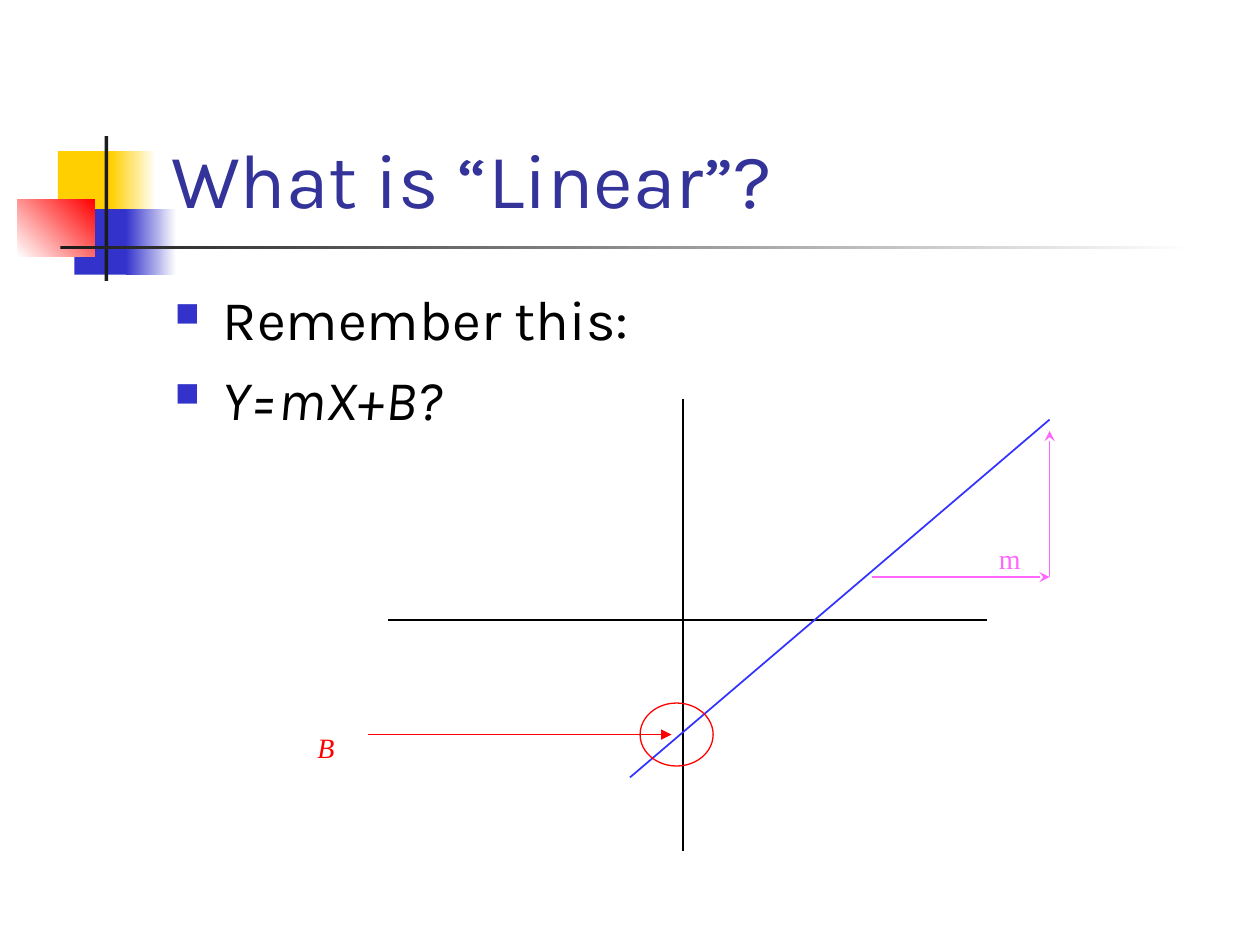
from lxml import etree
from pptx import Presentation
from pptx.dml.color import RGBColor
from pptx.enum.shapes import MSO_CONNECTOR, MSO_SHAPE
from pptx.enum.text import MSO_ANCHOR
from pptx.oxml.ns import qn
from pptx.util import Inches, Pt

RECT, OVAL = MSO_SHAPE.RECTANGLE, MSO_SHAPE.OVAL
STRAIGHT = MSO_CONNECTOR.STRAIGHT
TOP, BOTTOM = MSO_ANCHOR.TOP, MSO_ANCHOR.BOTTOM
HEADING_FONT, LABEL_FONT = "Karla", "Times New Roman"
COLORS = {
    "white": "FFFFFF", "black": "000000", "bar": "1C1C1C",
    "yellow": "FFCF01", "blue": "3333CC", "red": "FF0000",
    "title": "333399", "graph": "3333FF", "pink": "FF66FF",
}


def color(name):
    return RGBColor.from_string(COLORS[name])


def add_block(shapes, left, top, width, height, start, end=None, angle=0):
    """Add a borderless rectangle, fading from start to end if end is given."""
    block = shapes.add_shape(RECT, left, top, width, height)
    block.shadow.inherit = False
    block.line.fill.background()
    if end is None:
        block.fill.solid()
        block.fill.fore_color.rgb = color(start)
        return
    block.fill.gradient()
    block.fill.gradient_angle = angle
    for stop, name, position in zip(block.fill.gradient_stops, (start, end), (0, 1)):
        stop.color.rgb = color(name)
        stop.position = position


def add_line(shapes, start, end, name, width=0.75, arrow=None):
    line = shapes.add_connector(STRAIGHT, *start, *end)
    line.line.color.rgb = color(name)
    line.line.width = Pt(width)
    properties = line._element.spPr
    if arrow:
        tail = etree.SubElement(properties.find(qn("a:ln")), qn("a:tailEnd"))
        tail.set("type", arrow)
    etree.SubElement(properties, qn("a:effectLst"))


def add_text_frame(shapes, left, top, width, height, anchor=TOP):
    frame = shapes.add_textbox(left, top, width, height).text_frame
    frame.word_wrap = True
    frame.vertical_anchor = anchor
    return frame


def add_span(para, text, size, font, name, italic=False):
    span = para.add_run()
    span.text = text
    span.font.size = Pt(size)
    span.font.name = font
    span.font.italic = italic
    span.font.color.rgb = color(name)


def add_square_bullet(para):
    properties = para._p.get_or_add_pPr()
    properties.set("marL", str(Inches(0.38)))
    properties.set("indent", str(Inches(-0.38)))
    bullet_color = etree.SubElement(properties, qn("a:buClr"))
    etree.SubElement(bullet_color, qn("a:srgbClr")).set("val", COLORS["blue"])
    etree.SubElement(properties, qn("a:buSzPct")).set("val", "60000")
    etree.SubElement(properties, qn("a:buChar")).set("char", "■")


def add_ornament(shapes, left, top):
    blocks = [
        (0.32, 0.12, 0.48, 0.52, "yellow"),
        (0.74, 0.12, 0.36, 0.52, "yellow", "white"),
        (0.45, 0.58, 0.46, 0.52, "blue"),
        (0.86, 0.58, 0.4, 0.52, "blue", "white"),
        (0, 0.5, 0.61, 0.46, "white", "red", 45),
        (0.69, 0, 0.03, 1.15, "bar"),
        (0.34, 0.87, 9, 0.03, "bar", "white"),
    ]
    for x, y, width, height, *paint in blocks:
        add_block(shapes, left + Inches(x), top + Inches(y),
                  Inches(width), Inches(height), *paint)


def add_title(shapes, left, top, width, height):
    frame = add_text_frame(shapes, left, top, width, height, BOTTOM)
    add_span(frame.paragraphs[0], "What is “Linear”?", 44, HEADING_FONT, "title")


def add_bullets(shapes, left, top, width, height):
    frame = add_text_frame(shapes, left, top, width, height)
    first, second = frame.paragraphs[0], frame.add_paragraph()
    second.space_before = Pt(7.5)
    for para, text, italic in ((first, "Remember this:", False),
                               (second, "Y=mX+B?", True)):
        add_square_bullet(para)
        add_span(para, text, 32, HEADING_FONT, "black", italic)


def add_label(shapes, left, top, width, text, name, italic=False):
    frame = add_text_frame(shapes, left, top, width, Inches(0.57))
    frame.margin_top, frame.margin_bottom = Inches(0.33), 0
    add_span(frame.paragraphs[0], text, 16, LABEL_FONT, name, italic)


def add_graph(page, left, top):
    """Draw the axes, the line, its intercept B and its slope m."""
    def at(x, y):
        return left + Inches(x), top + Inches(y)

    axes = page.shapes.add_group_shape().shapes
    add_line(axes, at(3, 0), at(3, 3.58), "black")
    add_line(axes, at(0.66, 1.75), at(5.41, 1.75), "black")
    add_line(axes, at(2.58, 3), at(5.91, 0.16), "graph", 1)

    intercept = page.shapes.add_group_shape().shapes
    ring = intercept.add_shape(OVAL, *at(2.66, 2.41), Inches(0.58), Inches(0.5))
    ring.shadow.inherit = False
    ring.fill.background()
    ring.line.color.rgb = color("red")
    ring.line.width = Pt(0.75)
    add_label(intercept, *at(0, 2.33), Inches(0.75), "B", "red", True)
    add_line(intercept, at(0.5, 2.66), at(2.91, 2.66), "red", arrow="triangle")

    slope = page.shapes.add_group_shape().shapes
    corner = at(5.91, 1.41)
    add_line(slope, at(4.5, 1.41), corner, "pink", arrow="stealth")
    add_line(slope, corner, at(5.91, 0.25), "pink", arrow="stealth")
    add_label(slope, *at(5.41, 0.83), Inches(1), "m", "pink")


def main():
    deck = Presentation()
    deck.slide_width, deck.slide_height = Inches(10), Inches(7.5)
    page = deck.slides.add_slide(deck.slide_layouts[6])
    page.background.fill.solid()
    page.background.fill.fore_color.rgb = color("white")
    add_ornament(page.shapes, Inches(0.14), Inches(1.08))
    add_title(page.shapes, Inches(1.26), Inches(0.23), Inches(8.52), Inches(1.6))
    add_bullets(page.shapes, Inches(1.29), Inches(2.21), Inches(8.5), Inches(4.5))
    add_graph(page, Inches(2.42), Inches(3.17))
    deck.save("out.pptx")


if __name__ == "__main__":
    main()
